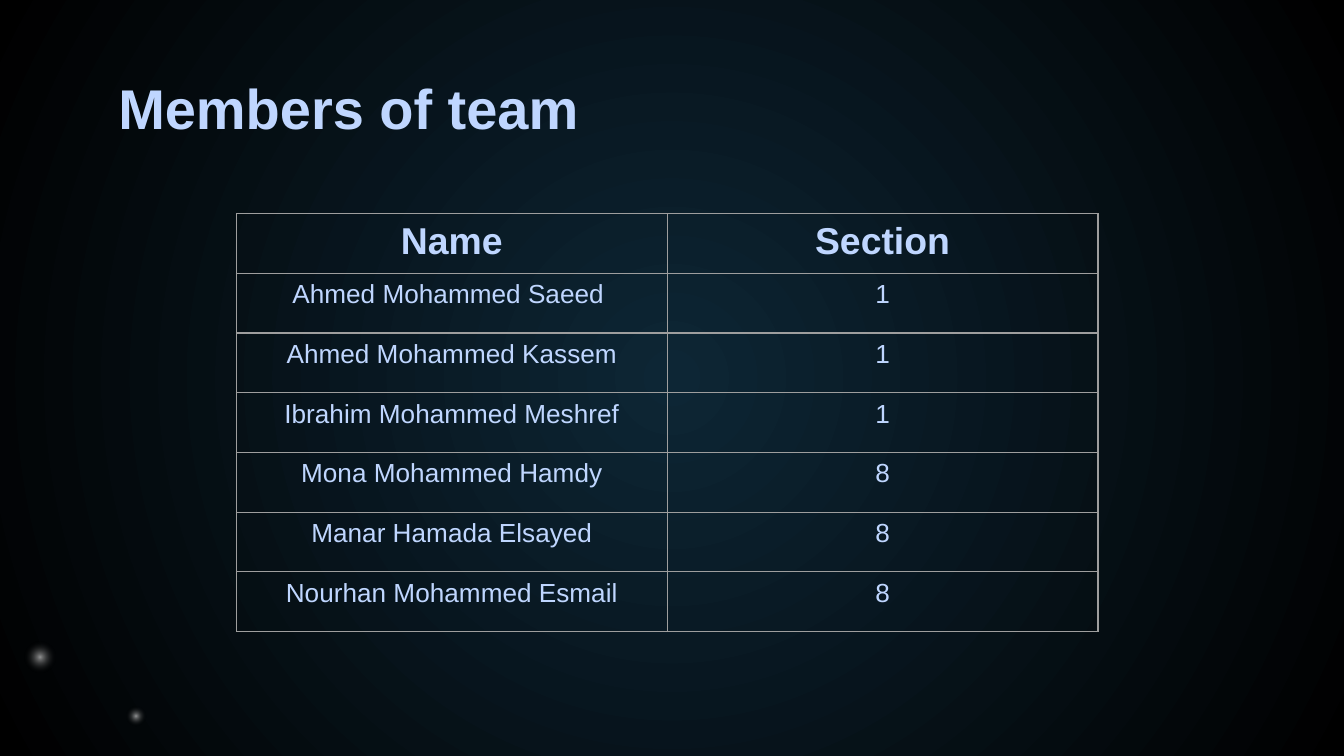
"""Builds the team members slide: a title and a two-column table on a dark glow."""
from lxml.etree import SubElement
from pptx import Presentation
from pptx.dml.color import RGBColor
from pptx.enum.shapes import MSO_SHAPE
from pptx.enum.text import MSO_ANCHOR, PP_ALIGN
from pptx.oxml import parse_xml
from pptx.oxml.ns import nsdecls, qn
from pptx.util import Inches, Pt

PALE_BLUE = RGBColor(0xBF, 0xD6, 0xFF)
GREY = RGBColor(0x9E, 0x9E, 0x9E)
NAVY = RGBColor(0x0D, 0x26, 0x35)
BLACK = RGBColor(0x00, 0x00, 0x00)
WHITE = RGBColor(0xFF, 0xFF, 0xFF)

NIGHT = [(0, NAVY, 100), (100, BLACK, 100)]
STARLIGHT = [(0, WHITE, 57), (28, BLACK, 0), (100, BLACK, 0)]

MEMBERS = [
    ("Name", "Section"),
    ("Ahmed Mohammed Saeed ", "1"),
    ("Ahmed Mohammed Kassem", "1"),
    ("Ibrahim Mohammed Meshref", "1"),
    ("Mona Mohammed Hamdy", "8"),
    ("Manar Hamada Elsayed", "8"),
    ("Nourhan Mohammed Esmail", "8"),
]


def write(frame, text, size=14, bold=False, align=PP_ALIGN.LEFT, color=PALE_BLUE, font="Arial"):
    paragraph = frame.paragraphs[0]
    paragraph.alignment = align
    run = paragraph.add_run()
    run.text = text
    run.font.name = font
    run.font.size = Pt(size)
    run.font.bold = bold
    run.font.color.rgb = color


def glow(fill, owner, stops):
    fill.solid()
    solid = next(owner.iter(qn("a:solidFill")))
    marks = "".join(
        f'<a:gs pos="{position * 1000}"><a:srgbClr val="{color}">'
        f'<a:alpha val="{opacity * 1000}"/></a:srgbClr></a:gs>'
        for position, color, opacity in stops
    )
    radial = parse_xml(
        f'<a:gradFill {nsdecls("a")} rotWithShape="1"><a:gsLst>{marks}</a:gsLst>'
        '<a:path path="circle"><a:fillToRect l="50000" t="50000" r="50000" b="50000"/></a:path>'
        "</a:gradFill>"
    )
    solid.getparent().replace(solid, radial)


class TeamSlide:
    def __init__(self, deck, line_color=GREY, line_width=0.75):
        self.slide = deck.slides.add_slide(deck.slide_layouts[5])
        self.line_color = line_color
        self.line_width = Pt(line_width)

    def background(self, stops):
        glow(self.slide.background.fill, self.slide.element, stops)

    def star(self, left, top, size):
        star = self.slide.shapes.add_shape(
            MSO_SHAPE.OVAL, Inches(left), Inches(top), Inches(size), Inches(size)
        )
        star.shadow.inherit = False
        star.line.fill.background()
        glow(star.fill, star.element, STARLIGHT)

    def title(self, text, left, top, width, height):
        title = self.slide.shapes.title
        title.left, title.top = Inches(left), Inches(top)
        title.width, title.height = Inches(width), Inches(height)
        frame = title.text_frame
        frame.word_wrap = True
        frame.vertical_anchor = MSO_ANCHOR.TOP
        frame.margin_left = frame.margin_right = Inches(0.1)
        frame.margin_top = frame.margin_bottom = Inches(0.1)
        write(frame, text, size=30, bold=True)

    def table(self, rows, left, top, width, height):
        table = self.slide.shapes.add_table(
            len(rows), len(rows[0]), Inches(left), Inches(top), Inches(width), Inches(height)
        ).table
        table.first_row = table.horz_banding = False
        for row, texts in enumerate(rows):
            header = row == 0
            for column, text in enumerate(texts):
                cell = table.cell(row, column)
                write(cell.text_frame, text, size=20 if header else 14, bold=header,
                      align=PP_ALIGN.CENTER)
                self.outline(cell)

    def outline(self, cell):
        properties = cell._tc.get_or_add_tcPr()
        for side in ("L", "R", "T", "B"):
            border = SubElement(properties, qn(f"a:ln{side}"), w=str(self.line_width))
            paint = SubElement(border, qn("a:solidFill"))
            SubElement(paint, qn("a:srgbClr"), val=str(self.line_color))
        cell.fill.background()


def main():
    deck = Presentation()
    deck.slide_width = Inches(10)
    deck.slide_height = deck.slide_width * 9 // 16
    team = TeamSlide(deck)
    team.background(NIGHT)
    team.star(0.82, 5.14, 0.38)
    team.star(0, 4.59, 0.6)
    team.title("Members of team", 0.78, 0.45, 5.45, 0.63)
    team.table(MEMBERS, 1.76, 1.59, 6.41, 3.11)
    deck.save("out.pptx")


if __name__ == "__main__":
    main()
